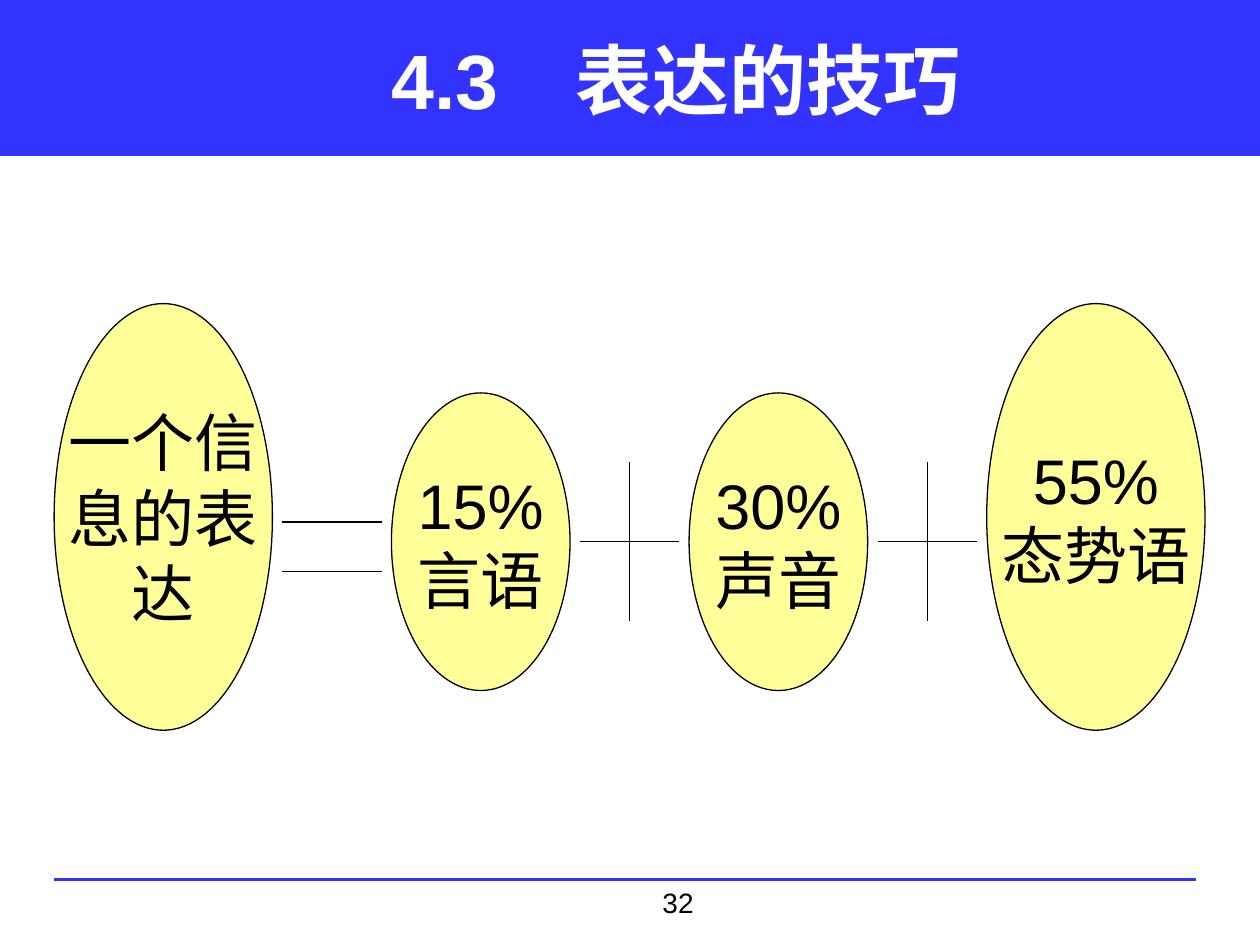
from dataclasses import dataclass

from lxml.etree import SubElement
from pptx import Presentation
from pptx.dml.color import RGBColor
from pptx.enum.shapes import MSO_CONNECTOR, MSO_SHAPE
from pptx.enum.text import MSO_ANCHOR, PP_ALIGN
from pptx.oxml.ns import qn
from pptx.util import Cm, Inches, Pt


@dataclass(frozen=True)
class Theme:
    font: str = "Arial"
    blue: str = "3333FF"
    yellow: str = "FFFF99"
    black: str = "000000"
    white: str = "FFFFFF"
    title: int = 44
    body: int = 36
    number: int = 16
    thin: float = 0.75
    thick: float = 2.25


def write(tf, text, size, font, color, bold=False,
          align=PP_ALIGN.CENTER, anchor=MSO_ANCHOR.MIDDLE, wrap=True):
    """Fill a text frame, one paragraph for each line of text."""
    tf.word_wrap = wrap
    tf.vertical_anchor = anchor
    for i, line in enumerate(text.split("\n")):
        p = tf.paragraphs[0] if i == 0 else tf.add_paragraph()
        p.alignment = align
        r = p.add_run()
        r.text = line
        r.font.name = font
        r.font.size = Pt(size)
        r.font.bold = bold
        r.font.color.rgb = RGBColor.from_string(color)


class Board:
    """Places elements in grid cells of 2 mm, counted from the diagram's corner."""

    left, top, cell = Inches(0.43), Inches(2.41), Cm(0.2)

    def __init__(self, slide, theme):
        self.slide, self.theme = slide, theme

    def x(self, col):
        return self.left + col * self.cell

    def y(self, row):
        return self.top + row * self.cell

    def shape(self, kind, box, fill, line):
        sp = self.slide.shapes.add_shape(kind, *box)
        sp.shadow.inherit = False
        sp.fill.solid()
        sp.fill.fore_color.rgb = RGBColor.from_string(fill)
        sp.line.color.rgb = RGBColor.from_string(line)
        sp.line.width = Pt(self.theme.thin)
        return sp

    def text(self, box, text, size, color, **fmt):
        sp = self.slide.shapes.add_textbox(*box)
        write(sp.text_frame, text, size, self.theme.font, color, **fmt)

    def ellipse(self, col, row, cols, rows, text):
        t = self.theme
        box = self.x(col), self.y(row), cols * self.cell, rows * self.cell
        sp = self.shape(MSO_SHAPE.OVAL, box, t.yellow, t.black)
        write(sp.text_frame, text, t.body, t.font, t.black, wrap=False)

    def line(self, x1, y1, x2, y2, color, width):
        cxn = self.slide.shapes.add_connector(MSO_CONNECTOR.STRAIGHT, x1, y1, x2, y2)
        cxn.line.color.rgb = RGBColor.from_string(color)
        cxn.line.width = Pt(width)
        SubElement(cxn._element.spPr, qn("a:effectLst"))

    def stroke(self, col1, row1, col2, row2):
        self.line(self.x(col1), self.y(row1), self.x(col2), self.y(row2),
                  self.theme.black, self.theme.thin)

    def equals(self, col):
        for row in (22, 27):
            self.stroke(col, row, col + 10, row)

    def plus(self, col):
        self.stroke(col, 24, col + 10, 24)
        self.stroke(col + 5, 16, col + 5, 32)


def main():
    prs = Presentation()
    prs.slide_width, prs.slide_height = Inches(10), Inches(7.5)
    w, h = prs.slide_width, prs.slide_height
    t = Theme()
    s = Board(prs.slides.add_slide(prs.slide_layouts[6]), t)

    s.shape(MSO_SHAPE.RECTANGLE, (0, 0, w, Inches(1.23)), t.blue, t.blue)
    rule = Inches(6.98)
    s.line(s.left, rule, Inches(9.49), rule, t.blue, t.thick)
    s.text((Inches(5.16), rule, Inches(0.63), Inches(0.37)), "32", t.number, t.black,
           align=PP_ALIGN.LEFT, anchor=MSO_ANCHOR.TOP)
    s.text((Inches(1.14), 0, Inches(8.45), h // 6), "4.3　表达的技巧",
           t.title, t.white, bold=True)

    s.ellipse(0, 0, 22, 43, "一个信\n息的表\n达")
    s.ellipse(34, 9, 18, 30, "15%\n言语")
    s.ellipse(64, 9, 18, 30, "30%\n声音")
    s.ellipse(94, 0, 22, 43, "55%\n态势语")
    s.equals(23)
    s.plus(53)
    s.plus(83)

    prs.save("out.pptx")


if __name__ == "__main__":
    main()
